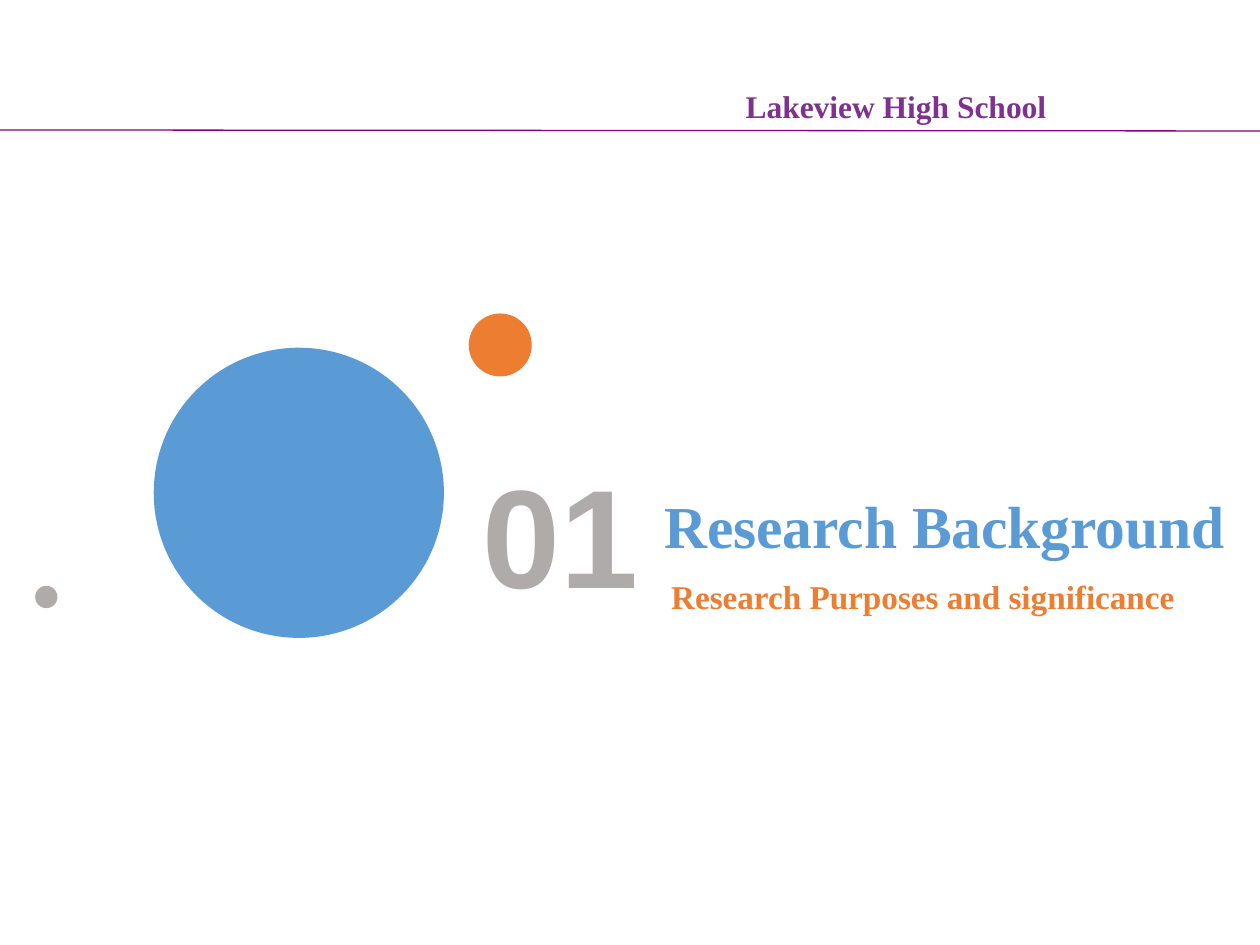
from pptx import Presentation
from pptx.dml.color import RGBColor
from pptx.enum.shapes import MSO_CONNECTOR, MSO_SHAPE
from pptx.enum.text import MSO_ANCHOR, MSO_AUTO_SIZE, PP_ALIGN
from pptx.oxml.ns import qn
from pptx.util import Cm, Pt
from lxml.etree import SubElement

COLORS = {
    "purple": "800080",
    "violet": "7E318E",
    "blue": "5B9BD5",
    "orange": "ED7D31",
    "gray": "AFABAB",
}
SERIF = "Times New Roman"


def rgb(name):
    """Return the named palette colour."""
    return RGBColor.from_string(COLORS[name])


def place(shape, left, top, width, height):
    """Set the position and size of a shape in centimetres."""
    shape.left, shape.top = Cm(left), Cm(top)
    shape.width, shape.height = Cm(width), Cm(height)


def write(shape, text, size, color, font=SERIF, align=PP_ALIGN.LEFT,
          spacing=1.0, wrap=True, inset=None):
    """Write one bold, formatted line into a shape."""
    tf = shape.text_frame
    tf.word_wrap = wrap
    tf.auto_size = MSO_AUTO_SIZE.NONE
    tf.vertical_anchor = MSO_ANCHOR.TOP
    if inset is not None:
        tf.margin_left = tf.margin_right = Cm(inset)
        tf.margin_top = tf.margin_bottom = Cm(inset)
    p = tf.paragraphs[0]
    p.alignment = align
    p.line_spacing = spacing
    r = p.add_run()
    r.text = text
    r.font.name = font
    r.font.size = Pt(size)
    r.font.bold = True
    r.font.color.rgb = rgb(color)


def add_text(s, box, text, size, color, **style):
    """Add a text box with one formatted line."""
    sp = s.shapes.add_textbox(*map(Cm, box))
    write(sp, text, size, color, **style)


def add_circle(s, left, top, diameter, color):
    """Add a filled circle without outline."""
    sp = s.shapes.add_shape(MSO_SHAPE.OVAL, Cm(left), Cm(top),
                            Cm(diameter), Cm(diameter))
    sp.shadow.inherit = False
    sp.fill.solid()
    sp.fill.fore_color.rgb = rgb(color)
    sp.line.fill.background()


def add_rule(s, x1, y1, x2, y2, color, width):
    """Add a straight line without shadow."""
    line = s.shapes.add_connector(MSO_CONNECTOR.STRAIGHT,
                                  Cm(x1), Cm(y1), Cm(x2), Cm(y2))
    line.line.color.rgb = rgb(color)
    line.line.width = Pt(width)
    SubElement(line._element.spPr, qn("a:effectLst"))


def main():
    """Build the section slide and save it."""
    prs = Presentation()
    prs.slide_width, prs.slide_height = Cm(25.4), Cm(19.05)
    s = prs.slides.add_slide(prs.slide_layouts[5])

    add_rule(s, 0, 2.62, 25.4, 2.64, "purple", 0.75)
    add_text(s, (14.78, 1.63, 6.5, 1.02), "Lakeview High School", 18,
             "violet", wrap=False)

    add_circle(s, 3.1, 7.01, 5.85, "blue")
    add_circle(s, 0.71, 11.81, 0.45, "gray")
    add_circle(s, 9.45, 6.32, 1.27, "orange")

    add_text(s, (8.97, 8.92, 4.65, 3.68), "01", 80, "gray",
             font="Arial", align=PP_ALIGN.CENTER)
    title = s.shapes.title
    place(title, 13.39, 9.42, 11.73, 1.7)
    write(title, "Research Background", 34, "blue", spacing=1.3, inset=0)
    add_text(s, (13.28, 11.25, 11.05, 1.22),
             "Research Purposes and significance", 19, "orange", spacing=1.3)

    prs.save("out.pptx")


if __name__ == "__main__":
    main()
